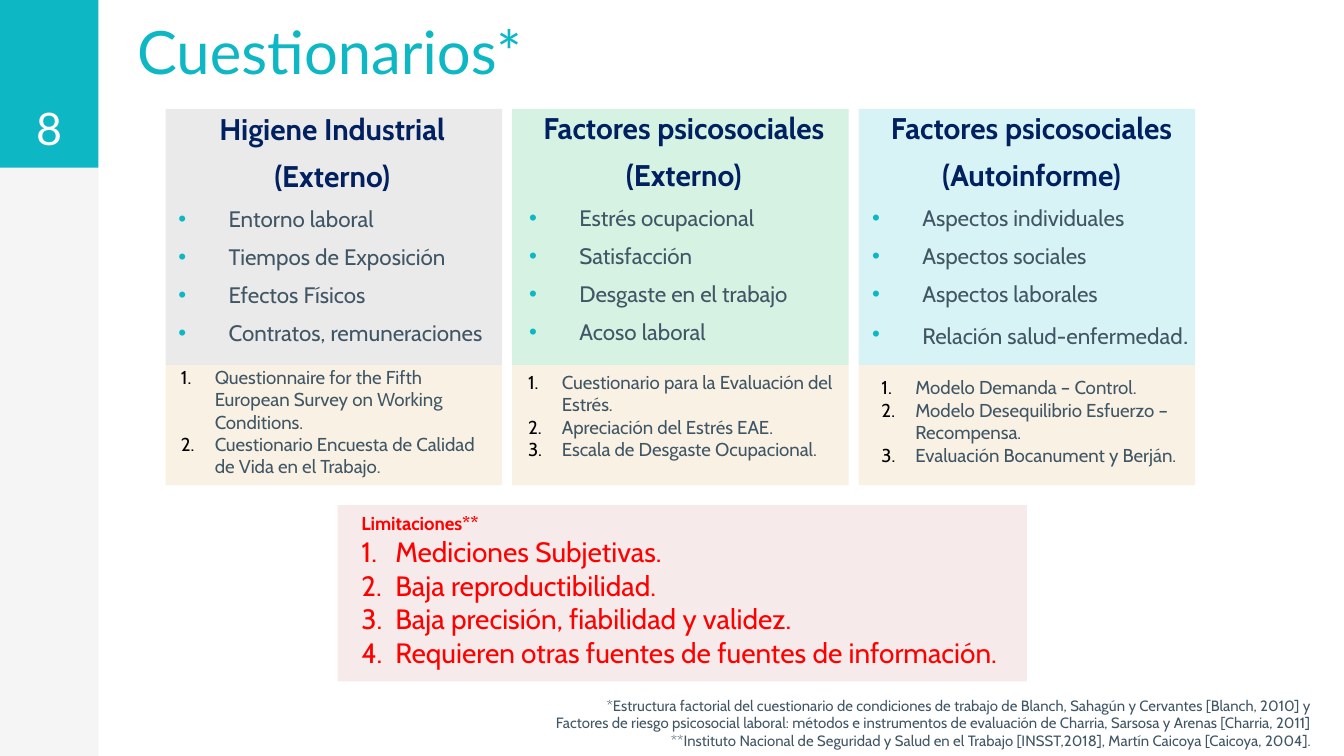
import pptx
import pptx.util
import pptx.dml.color
import pptx.enum.shapes
import pptx.enum.text
import pptx.oxml.ns
from lxml import etree

Cm, Pt = pptx.util.Cm, pptx.util.Pt
RGBColor = pptx.dml.color.RGBColor
Align = pptx.enum.text.PP_ALIGN
Anchor = pptx.enum.text.MSO_ANCHOR
qn = pptx.oxml.ns.qn

TEAL = RGBColor(0x0D, 0xB7, 0xC4)
NAVY = RGBColor(0x00, 0x20, 0x60)
SLATE = RGBColor(0x41, 0x56, 0x65)
GRAY = RGBColor(0x7F, 0x7F, 0x7F)
GREEN = RGBColor(0x00, 0xB0, 0x50)
SAND = RGBColor(0xE7, 0xC5, 0x86)
ROSE = RGBColor(0xDF, 0xA2, 0xA2)
RED = RGBColor(0xFF, 0x00, 0x00)
BLACK = RGBColor(0x00, 0x00, 0x00)
WHITE = RGBColor(0xFF, 0xFF, 0xFF)

# Content; boxes are left, top, width, height in cm
TITLE = "Cuestionarios*"
PAGE = "8"
COLS = [
    {"fill": GRAY,
     "heads": ["Higiene Industrial", "(Externo)"],
     "items": ["Entorno laboral", "Tiempos de Exposición", "Efectos Físicos",
               "Contratos, remuneraciones"],
     "tests": ["Questionnaire for the Fifth European Survey on Working Conditions.",
               "Cuestionario Encuesta de Calidad de Vida en el Trabajo."],
     "top": (3.12, 1.85, 6.32, 6.32), "low": (3.17, 6.78, 6.33, 2.79)},
    {"fill": GREEN,
     "heads": ["Factores psicosociales", "(Externo)"],
     "items": ["Estrés ocupacional", "Satisfacción", "Desgaste en el trabajo",
               "Acoso laboral"],
     "tests": ["Cuestionario para la Evaluación del Estrés.",
               "Apreciación del Estrés EAE.",
               "Escala de Desgaste Ocupacional."],
     "top": (9.75, 1.83, 6.35, 5.08), "low": (9.73, 6.88, 6.3, 2.36)},
    {"fill": TEAL,
     "heads": ["Factores psicosociales", "(Autoinforme)"],
     "items": ["Aspectos individuales", "Aspectos sociales", "Aspectos laborales",
               "Relación salud-enfermedad"],
     "end": ".",
     "tests": ["Modelo Demanda – Control.",
               "Modelo Desequilibrio Esfuerzo – Recompensa.",
               "Evaluación Bocanument y Berján."],
     "top": (16.23, 1.83, 6.53, 5.05), "low": (16.41, 6.98, 6.35, 2.36)},
]
LIMITS = ["Mediciones Subjetivas.", "Baja reproductibilidad.",
          "Baja precisión, fiabilidad y validez.",
          "Requieren otras fuentes de fuentes de información."]
NOTES = [
    "*Estructura factorial del cuestionario de condiciones de trabajo de Blanch, "
    "Sahagún y Cervantes [Blanch, 2010] y",
    "Factores de riesgo psicosocial laboral: métodos e instrumentos de evaluación "
    "de Charria, Sarsosa y Arenas [Charria, 2011]",
    "**Instituto Nacional de Seguridad y Salud en el Trabajo [INSST,2018], "
    "Martín Caicoya [Caicoya, 2004].",
]
LEFT, STEP, WIDE = 3.13, 6.55, 6.36

deck = pptx.Presentation()
deck.slide_width, deck.slide_height = Cm(25.4), Cm(14.29)
slide = deck.slides.add_slide(deck.slide_layouts[4])
shapes = slide.shapes


def panel(box, color, alpha=100):
    rect = shapes.add_shape(pptx.enum.shapes.MSO_SHAPE.RECTANGLE, *map(Cm, box))
    rect.shadow.inherit = False
    rect.line.fill.background()
    rect.fill.solid()
    rect.fill.fore_color.rgb = color
    if alpha < 100:
        tint = rect.fill._xPr.find(qn("a:solidFill"))[0]
        etree.SubElement(tint, qn("a:alpha")).set("val", str(alpha * 1000))


def frame(box, holder=None, pad=0.13, anchor=Anchor.TOP):
    """Place a text box, or move a placeholder in front of the panels."""
    area = holder or shapes.add_textbox(*map(Cm, box))
    if holder is not None:
        shapes._spTree.append(holder._element)
        area.left, area.top, area.width, area.height = map(Cm, box)
    text = area.text_frame
    text.auto_size = pptx.enum.text.MSO_AUTO_SIZE.NONE
    text.word_wrap = True
    text.vertical_anchor = anchor
    text.margin_left = text.margin_right = Cm(0.25)
    text.margin_top = text.margin_bottom = Cm(pad)
    return text


def run(para, words, size, color, bold=False, font="Cabin"):
    part = para.add_run()
    part.text = words
    part.font.name, part.font.size, part.font.bold = font, Pt(size), bold
    part.font.color.rgb = color


def line(text, words, size, color, bold=False, font="Cabin",
         align=Align.LEFT, gap=0, mark=None, tone=BLACK, indent=0.64):
    first = text.paragraphs[0]
    para = text.add_paragraph() if first.runs else first
    props = para._p.get_or_add_pPr()
    props.set("marL", str(Cm(indent) if mark else 0))
    props.set("indent", str(-Cm(indent) if mark else 0))
    if mark:
        hue = etree.SubElement(props, qn("a:buClr"))
        etree.SubElement(hue, qn("a:srgbClr")).set("val", str(tone))
    if mark == "1.":
        etree.SubElement(props, qn("a:buAutoNum")).set("type", "arabicPeriod")
    elif mark:
        etree.SubElement(props, qn("a:buFont")).set("typeface", "Arial")
        etree.SubElement(props, qn("a:buChar")).set("char", mark)
    else:
        etree.SubElement(props, qn("a:buNone"))
    para.alignment = align
    para.space_before = Pt(gap if para is not first else 0)
    run(para, words, size, color, bold, font)
    return para


# Side band, page number and title
panel((0, 0, 1.86, 14.29), BLACK, 4)
panel((0, 0, 1.86, 3.17), TEAL)
line(frame((0, 0, 1.86, 3.17), pad=0.25, anchor=Anchor.BOTTOM),
     PAGE, 24, WHITE, font="Lato", align=Align.CENTER)
line(frame((2.34, 0.03, 9.86, 3.17), shapes.title, 0.25),
     TITLE, 32, TEAL, font="Lato")

# Three columns: topics above, questionnaires below
for i, col in enumerate(COLS):
    x = LEFT + i * STEP
    panel((x, 2.06, WIDE, 4.84), col["fill"], 16)
    panel((x, 6.9, WIDE, 2.27), SAND, 22)
    text = frame(col["top"], slide.placeholders[i + 1], 0.25)
    for head in col["heads"]:
        line(text, head, 16, NAVY, True, align=Align.CENTER, gap=6)
    for item in col["items"]:
        para = line(text, item, 12, SLATE, gap=6, mark="•", tone=TEAL, indent=0.95)
    if "end" in col:
        run(para, col["end"], 14, SLATE)
    text = frame(col["low"])
    for test in col["tests"]:
        line(text, test, 10, SLATE, mark="1.")

# Limitations
panel((6.38, 9.55, 13.03, 3.33), ROSE, 22)
text = frame((6.58, 9.55, 12.7, 3.84), slide.placeholders[4])
line(text, "Limitaciones**", 10, RED, True)
for limit in LIMITS:
    line(text, limit, 15, RED, mark="1.", tone=RED)

# Footnotes
text = frame((3.33, 13.03, 21.72, 1.68))
for note in NOTES:
    line(text, note, 8, SLATE, align=Align.RIGHT)

deck.save("out.pptx")
